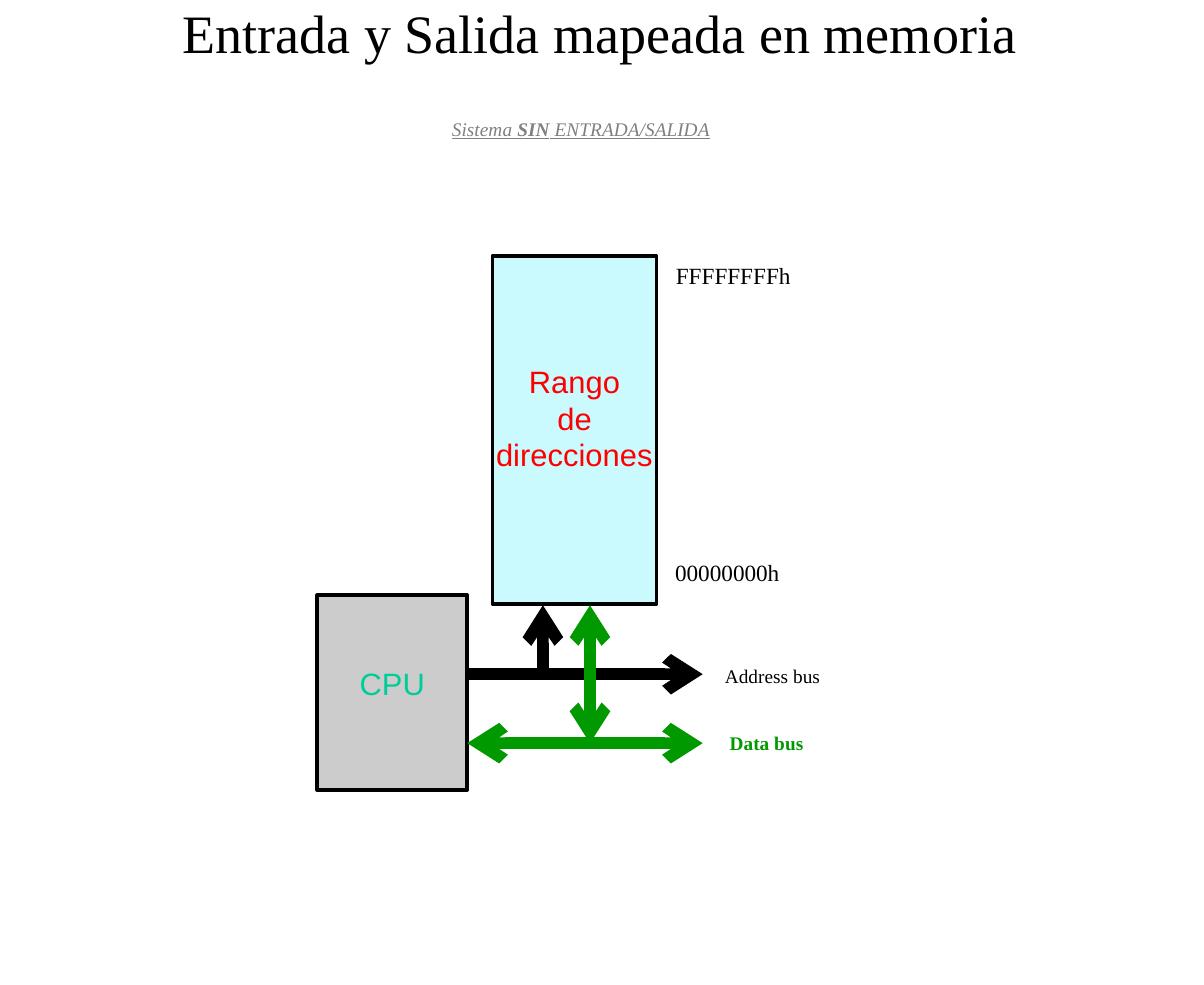
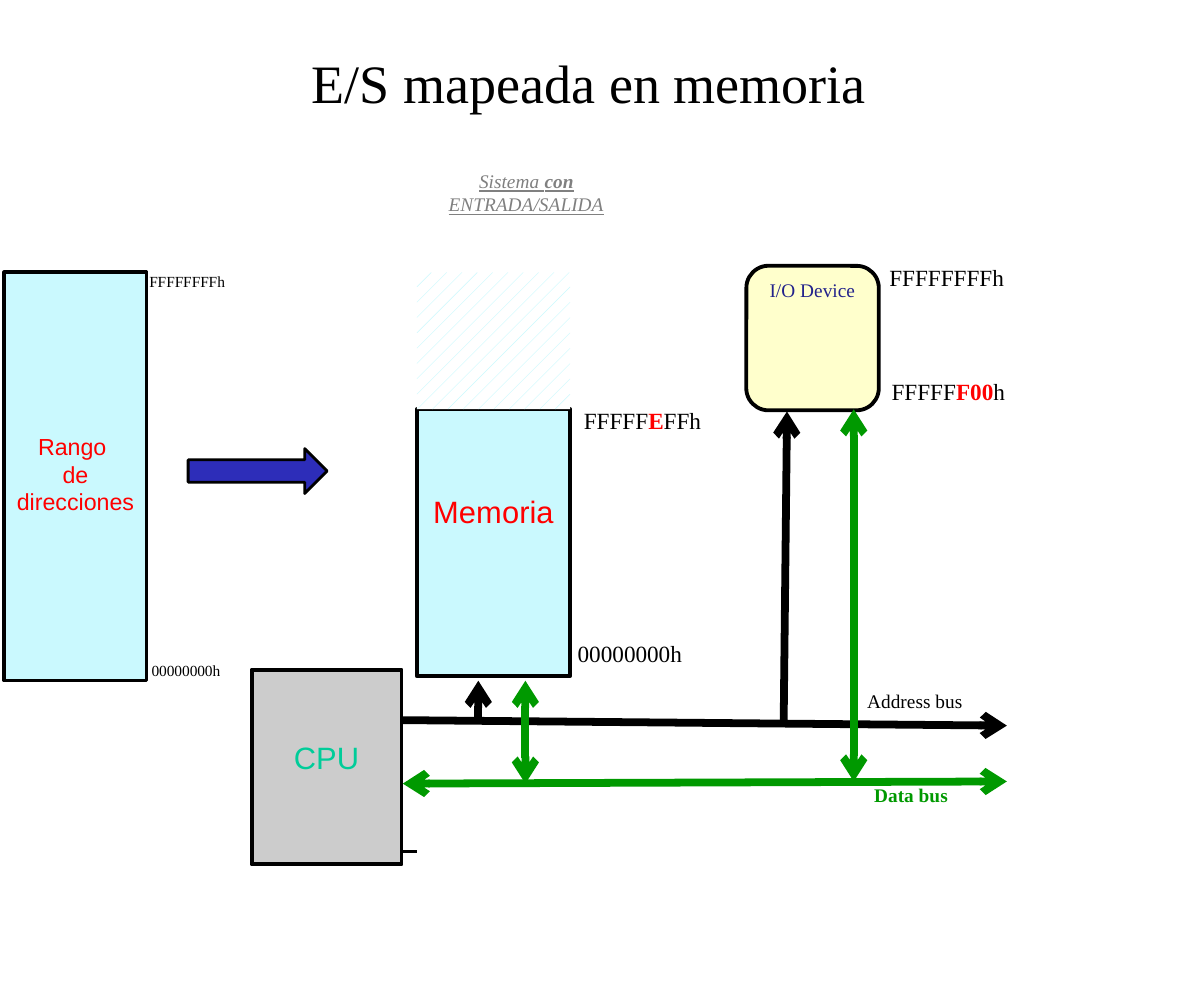
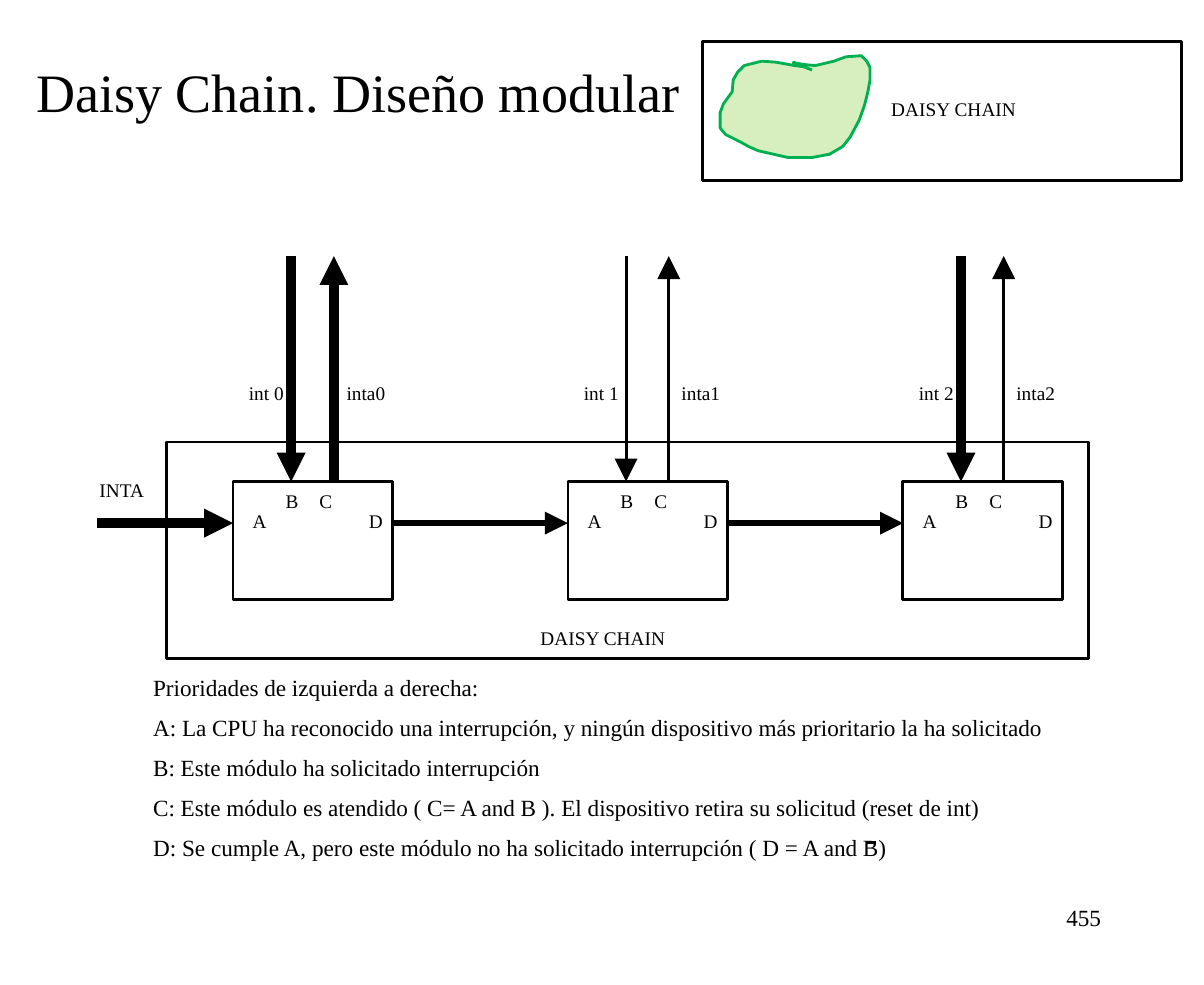
from lxml import etree
from pptx import Presentation
from pptx.dml.color import RGBColor
from pptx.enum.dml import MSO_PATTERN
from pptx.enum.shapes import MSO_CONNECTOR, MSO_SHAPE
from pptx.enum.text import MSO_ANCHOR, PP_ALIGN
from pptx.oxml.ns import qn
from pptx.util import Cm, Pt

RECT, ROUNDED, BLOCK_ARROW = MSO_SHAPE.RECTANGLE, MSO_SHAPE.ROUNDED_RECTANGLE, MSO_SHAPE.RIGHT_ARROW
STRAIGHT = MSO_CONNECTOR.STRAIGHT
HATCH = MSO_PATTERN.WIDE_UPWARD_DIAGONAL
LEFT, CENTER, RIGHT = PP_ALIGN.LEFT, PP_ALIGN.CENTER, PP_ALIGN.RIGHT
TOP, MIDDLE = MSO_ANCHOR.TOP, MSO_ANCHOR.MIDDLE

COLORS = {
    "black": "000000", "white": "FFFFFF", "red": "FF0000", "gray": "808080",
    "cpu": "CCCCCC", "cpu text": "00CC99", "memory": "CAF9FE", "data": "009900",
    "device": "FFFFCC", "device text": "22228B", "arrow": "2D2DB9",
    "blob": "92D050", "blob edge": "00B050",
}
SERIF, SANS = "Times New Roman", "Arial"
SIDE, EDGE = 0.1, 0.05  # text margins in cm

# Boxes are (left, top, width, height) and lines (x1, y1, x2, y2), in cm.
SUBTITLE = dict(size=5, color="gray", italic=True, underline=True)
ADDRESS = dict(size=5)
DATA = dict(size=5, color="data", bold=True)
TINY = dict(size=4)
RED = dict(color="red", bold=True)
CPU = dict(fill="cpu", text=["CPU"], color="cpu text", font=SANS, size=8, top=0.63)
MEMORY = dict(fill="memory", color="red", font=SANS)

BUS_SLIDES = [
    dict(
        title=("Entrada y Salida mapeada en memoria", (0.81, -0.3, 9.35, 1.19)),
        weight=3,
        boxes=[
            ((2.9, 5.44, 1.37, 1.78), CPU),
            ((4.5, 2.34, 1.5, 3.18),
             dict(MEMORY, text=["Rango", "de", "direcciones"], size=8, top=0.97, side=0)),
        ],
        address=[(4.27, 6.16, 6.42, 6.16), (4.96, 6.16, 4.96, 5.53)],
        data=[(4.27, 6.79, 6.42, 6.79), (5.39, 6.79, 5.39, 5.53)],
        labels=[
            ("Address bus", (6.5, 6.02, 1.12, 0.33), ADDRESS),
            ("Data bus", (6.55, 6.63, 0.91, 0.33), DATA),
            ("00000000h", (6.05, 5.05, 1.19, 0.38), {}),
            ("FFFFFFFFh", (6.05, 2.34, 1.3, 0.38), {}),
            ([("Sistema ", {}), ("SIN", dict(bold=True)), (" ENTRADA/SALIDA", {})],
             (3.99, 1.02, 2.64, 0.33), SUBTITLE),
        ],
    ),
    dict(
        title=("E/S mapeada en memoria", (0.71, 0, 9.35, 1.5)),
        weight=2,
        boxes=[
            ((6.82, 2.43, 1.21, 1.32),
             dict(kind=ROUNDED, fill="device", text=["I/O Device"], color="device text", size=5)),
            ((2.3, 6.12, 1.37, 1.78), CPU),
            ((3.81, 3.74, 1.4, 2.44), dict(MEMORY, text=["Memoria"], size=8, top=0.76)),
            ((3.81, 2.49, 1.4, 1.25), dict(fill="memory", pattern=HATCH, weight=0)),
            ((0.04, 2.49, 1.3, 3.73),
             dict(MEMORY, text=["Rango ", "de direcciones"], size=6, top=1.46, side=0)),
            ((1.72, 4.1, 1.27, 0.41), dict(kind=BLOCK_ARROW, fill="arrow", weight=0.75)),
        ],
        address=[(3.68, 6.58, 9.2, 6.63), (4.37, 6.58, 4.37, 6.22), (7.16, 6.58, 7.19, 3.76)],
        data=[(3.68, 7.16, 9.2, 7.14), (4.8, 7.16, 4.8, 6.22), (7.8, 7.14, 7.8, 3.74)],
        ticks=[(3.66, 7.78, 3.81, 7.78)],
        labels=[
            ("Address bus", (7.8, 6.25, 1.12, 0.33), ADDRESS),
            ("Data bus", (7.87, 7.11, 0.91, 0.33), DATA),
            ("00000000h", (5.16, 5.79, 1.19, 0.38), {}),
            ([("FFFFF", {}), ("E", RED), ("FFh", {})], (5.21, 3.66, 1.32, 0.38), {}),
            ("FFFFFFFFh", (8, 2.36, 1.3, 0.38), {}),
            ([("FFFFF", {}), ("F00", RED), ("h", {})], (8.03, 3.4, 1.27, 0.38), {}),
            ("00000000h", (1.27, 5.99, 0.86, 0.28), TINY),
            ("FFFFFFFFh", (1.24, 2.44, 0.94, 0.28), TINY),
            ([("Sistema ", {}), ("con", dict(bold=True)), (" ENTRADA/SALIDA", {})],
             (3.8, 1.5, 2.02, 0.55), dict(SUBTITLE, wrap=True)),
        ],
    ),
]

CHAIN_TITLE = ("Daisy Chain. Diseño modular", (0.2, 0.08, 6.15, 1.5))
MODULE_LEFT, MODULE_TOP, MODULE_WIDTH, MODULE_HEIGHT, MODULE_PITCH = 2.13, 4.4, 1.46, 1.08, 3.06
SIGNAL_TOP, CHAIN_Y = 2.34, 4.78
INT_X, INTA_X = 0.53, 0.92
SIGNAL_WEIGHTS = [(2.5, 2.5), (0.75, 0.75), (2.5, 0.75)]  # int, inta per module
PINS = [("A", 0.08, 4.6), ("B", 0.38, 4.42), ("C", 0.69, 4.42), ("D", 1.14, 4.6)]
CHAIN_FRAMES = [(1.52, 4.04, 8.43, 1.98), (6.42, 0.38, 4.38, 1.27)]
CHAIN_LABELS = [
    ("INTA", (0.71, 4.32, 0.81, 0.33)),
    ("DAISY CHAIN", (7.52, 0.84, 2.39, 0.36)),
    ("DAISY CHAIN", (4.67, 5.67, 1.68, 0.36)),
]
PRIORITIES = [
    "Prioridades de izquierda a derecha:",
    "A: La CPU ha reconocido una interrupción, y ningún dispositivo más prioritario la ha solicitado",
    "B: Este módulo ha solicitado interrupción",
    "C: Este módulo es atendido ( C= A and B ). El dispositivo retira su solicitud (reset de int)",
    "D: Se cumple A, pero este módulo no ha solicitado interrupción ( D = A and B)",
]
NEGATION_BAR = (7.92, 7.7, 8, 7.7)
BLOB = [
    (7.42, 0.64), (7.34, 0.61), (7.26, 0.6), (7.09, 0.57), (6.96, 0.56), (6.8, 0.6),
    (6.74, 0.66), (6.7, 0.73), (6.69, 0.84), (6.61, 0.95), (6.58, 1.03), (6.58, 1.17),
    (6.63, 1.23), (6.73, 1.28), (6.77, 1.3), (6.84, 1.34), (6.93, 1.38), (7.2, 1.44),
    (7.42, 1.44), (7.58, 1.41), (7.7, 1.34), (7.77, 1.25), (7.85, 1.1), (7.9, 0.96),
    (7.93, 0.84), (7.95, 0.73), (7.95, 0.62), (7.92, 0.56), (7.87, 0.51), (7.73, 0.52),
    (7.62, 0.56), (7.45, 0.6), (7.34, 0.59), (7.24, 0.57),
]


def rgb(name):
    return RGBColor.from_string(COLORS[name])


def lengths(values):
    return [Cm(value) for value in values]


def write(shape, paragraphs, size=6, color="black", font=SERIF, bold=False, italic=False,
          underline=False, align=CENTER, anchor=TOP, wrap=True, top=EDGE, side=SIDE, gap=0):
    """Fill a shape with paragraphs, each a string or a list of (text, format changes)."""
    frame = shape.text_frame
    frame.word_wrap = wrap
    frame.vertical_anchor = anchor
    frame.margin_left = frame.margin_right = Cm(side)
    frame.margin_top, frame.margin_bottom = Cm(top), Cm(EDGE)
    for index, content in enumerate(paragraphs):
        paragraph = frame.add_paragraph() if index else frame.paragraphs[0]
        paragraph.alignment = align
        if index and gap:
            paragraph.space_before = Pt(gap)
        for text, changes in [(content, {})] if isinstance(content, str) else content:
            run = paragraph.add_run()
            run.text = text
            run.font.name, run.font.size = font, Pt(size)
            run.font.bold = changes.get("bold", bold)
            run.font.italic, run.font.underline = italic, underline
            run.font.color.rgb = rgb(changes.get("color", color))


def add_text(slide, box, paragraphs, **style):
    write(slide.shapes.add_textbox(*lengths(box)), paragraphs, **style)


def add_title(slide, text, box):
    add_text(slide, box, [text], size=14, anchor=MIDDLE, wrap=False)


def add_box(slide, box, kind=RECT, fill=None, pattern=None, weight=1, text=(), **style):
    shape = slide.shapes.add_shape(kind, *lengths(box))
    shape.shadow.inherit = False
    if pattern is not None:
        shape.fill.patterned()
        shape.fill.pattern = pattern
        shape.fill.fore_color.rgb, shape.fill.back_color.rgb = rgb(fill), rgb("white")
    elif fill:
        shape.fill.solid()
        shape.fill.fore_color.rgb = rgb(fill)
    else:
        shape.fill.background()
    if weight:
        shape.line.color.rgb, shape.line.width = rgb("black"), Pt(weight)
    else:
        shape.line.fill.background()
    if text:
        write(shape, text, **style)


def add_line(slide, ends, weight, color="black", head=None, tail=None):
    connector = slide.shapes.add_connector(STRAIGHT, *lengths(ends))
    connector.line.color.rgb, connector.line.width = rgb(color), Pt(weight)
    properties = connector.line._get_or_add_ln()
    for tag, arrow in (("a:headEnd", head), ("a:tailEnd", tail)):
        if arrow:
            etree.SubElement(properties, qn(tag), type=arrow)
    etree.SubElement(connector._element.spPr, qn("a:effectLst"))


def add_blob(slide):
    start, *rest = [tuple(lengths(point)) for point in BLOB]
    builder = slide.shapes.build_freeform(*start)
    builder.add_line_segments(rest, close=False)
    blob = builder.convert_to_shape()
    blob.shadow.inherit = False
    blob.fill.solid()
    blob.fill.fore_color.rgb = rgb("blob")
    fill_color = blob._element.spPr.find(qn("a:solidFill"))[0]
    etree.SubElement(fill_color, qn("a:alpha"), val="36000")
    blob.line.color.rgb, blob.line.width = rgb("blob edge"), Pt(0.75)


def build_bus_slide(slide, title, weight, boxes, address, data, labels, ticks=()):
    add_title(slide, *title)
    for box, style in boxes:
        add_box(slide, box, **style)
    for ends in address:
        add_line(slide, ends, weight, tail="arrow")
    for ends in data:
        add_line(slide, ends, weight, "data", head="arrow", tail="arrow")
    for ends in ticks:
        add_line(slide, ends, 1)
    for text, box, style in labels:
        add_text(slide, box, [text], **{"wrap": False, **style})


def add_module(slide, number, weights):
    left = MODULE_LEFT + number * MODULE_PITCH
    add_box(slide, (left, MODULE_TOP, MODULE_WIDTH, MODULE_HEIGHT), weight=0.75)
    int_x, inta_x = left + INT_X, left + INTA_X
    add_line(slide, (int_x, SIGNAL_TOP, int_x, MODULE_TOP), weights[0], tail="triangle")
    add_line(slide, (inta_x, MODULE_TOP, inta_x, SIGNAL_TOP), weights[1], tail="triangle")
    for text, offset in ((f"int {number}", 0), (f"inta{number}", 0.91)):
        add_text(slide, (left + offset, 3.43, 0.61, 0.36), [text], size=5, wrap=False)
    for pin, offset, top in PINS:
        add_text(slide, (left + offset, top, 0.3, 0.36), [pin], size=5, wrap=False)
    # Link from the previous module, or INTA for the first one
    start = left - MODULE_PITCH + MODULE_WIDTH if number else 0.89
    add_line(slide, (start, CHAIN_Y, left, CHAIN_Y), 1.5 if number else 2.5, tail="triangle")


def build_chain_slide(slide):
    add_title(slide, *CHAIN_TITLE)
    for frame in CHAIN_FRAMES:
        add_box(slide, frame, weight=0.75)
    add_blob(slide)
    for number, weights in enumerate(SIGNAL_WEIGHTS):
        add_module(slide, number, weights)
    for text, box in CHAIN_LABELS:
        add_text(slide, box, [text], size=5, wrap=False)
    add_text(slide, (1.3, 6.1, 8.61, 1.91), PRIORITIES, align=LEFT, gap=3.2)
    add_line(slide, NEGATION_BAR, 0.75)
    add_text(slide, (7.87, 8.2, 2.29, 0.61), ["455"], align=RIGHT)


def main():
    deck = Presentation()
    deck.slide_width, deck.slide_height = Cm(11), Cm(9)
    blank = deck.slide_layouts[6]
    for content in BUS_SLIDES:
        build_bus_slide(deck.slides.add_slide(blank), **content)
    build_chain_slide(deck.slides.add_slide(blank))
    deck.save("out.pptx")


if __name__ == "__main__":
    main()
